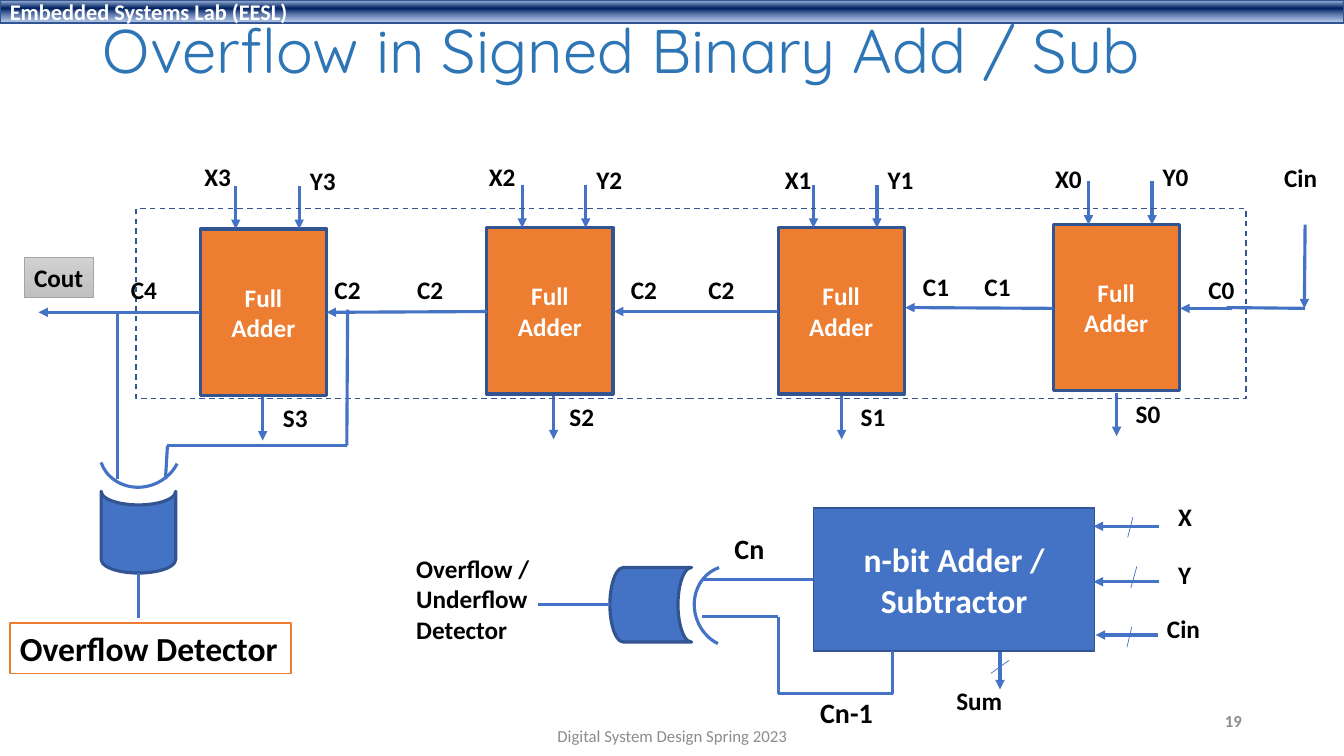
from lxml.etree import SubElement
from pptx import Presentation
from pptx.dml.color import RGBColor
from pptx.enum.dml import MSO_LINE
from pptx.enum.shapes import MSO_CONNECTOR, MSO_SHAPE
from pptx.enum.text import MSO_ANCHOR, MSO_AUTO_SIZE, PP_ALIGN
from pptx.oxml.ns import qn
from pptx.util import Cm, Pt

WHITE = RGBColor(0xFF, 0xFF, 0xFF)
BLACK = RGBColor(0x00, 0x00, 0x00)
GRAY = RGBColor(0x8C, 0x8C, 0x8C)
SILVER = RGBColor(0xA5, 0xA5, 0xA5)
BLUE = RGBColor(0x44, 0x72, 0xC4)
NAVY = RGBColor(0x32, 0x54, 0x91)
ORANGE = RGBColor(0xED, 0x7D, 0x31)
TITLE_BLUE = RGBColor(0x2E, 0x75, 0xB6)

HEADER_STOPS = [
    (2, RGBColor(0xAB, 0xC0, 0xE4), 100),
    (38, RGBColor(0x00, 0x20, 0x60), 100),
    (93, RGBColor(0x7E, 0x9E, 0xD6), 64),
]
COUT_STOPS = [
    (0, RGBColor(0xD2, 0xD2, 0xD2), 100),
    (50, RGBColor(0xC8, 0xC8, 0xC8), 100),
    (100, RGBColor(0xC0, 0xC0, 0xC0), 100),
]

# bit, left, top, sum arrow offset, X label position
ADDERS = [
    (0, 26.54, 5.66, 1.6, (26.34, 3.99)),
    (1, 19.61, 5.74, 1.6, (19.53, 4.01)),
    (2, 12.27, 5.74, 1.68, (12.07, 3.94)),
    (3, 5.05, 5.77, 1.57, (4.9, 3.94)),
]
ADDER_W, ADDER_H = 3.18, 4.19
INPUT_OFFSETS = (0.89, 2.49)
ARROW_LENGTH = 1.09

# text, left, top, width, size
LABELS = [
    ("Cin", 32.11, 3.96, 1.35, 18),
    ("C0", 30.2, 6.78, 1.17, 18),
    ("C1", 24.56, 6.71, 1.17, 18),
    ("C1", 23.01, 6.71, 1.17, 18),
    ("C2", 17.6, 6.78, 1.17, 18),
    ("C2", 15.65, 6.78, 1.17, 18),
    ("C2", 10.26, 6.78, 1.17, 18),
    ("C2", 8.18, 6.78, 1.17, 18),
    ("C4", 3.05, 6.78, 1.17, 18),
    ("Cn", 18.26, 13.26, 1.27, 20),
    ("Cn-1", 20.42, 17.4, 1.85, 20),
    ("Overflow /\nUnderflow\nDetector", 10.24, 13.82, 3.53, 18),
    ("Sum", 23.85, 17.15, 1.68, 18),
    ("X", 29.44, 12.52, 0.86, 18),
    ("Y", 29.44, 13.97, 0.84, 18),
    ("Cin", 29.16, 15.32, 1.35, 18),
]

ARROWS = [
    [(32.89, 5.66), (32.87, 7.77)],
    [(31.04, 7.77), (29.74, 7.77)],
    [(26.54, 7.77), (22.81, 7.75)],
    [(19.61, 7.85), (15.47, 7.85)],
    [(12.27, 7.85), (8.23, 7.87)],
    [(5.05, 7.87), (0.97, 7.87)],
    [(25.2, 16.43), (25.2, 17.37)],
    [(29.21, 13.26), (27.56, 13.26)],
    [(29.21, 14.66), (27.56, 14.66)],
    [(29.18, 16), (27.61, 16)],
]
WIRES = [
    [(32.89, 7.77), (30.91, 7.75)],
    [(2.97, 7.87), (2.97, 12.07)],
    [(8.76, 7.8), (8.74, 11.23), (4.22, 11.23), (4.17, 12.07)],
    [(3.48, 14.43), (3.48, 15.57)],
    [(20.5, 14.6), (17.68, 14.6)],
    [(22.5, 16.41), (22.5, 17.48), (19.61, 17.48), (19.61, 15.54), (17.68, 15.54)],
    [(15.37, 15.24), (13.56, 15.24)],
]
BUS_SLASHES = [
    [(28.55, 13.03), (28.42, 13.54)],
    [(28.65, 14.27), (28.5, 14.81)],
    [(28.52, 15.8), (28.4, 16.31)],
    [(25.43, 16.64), (24.97, 16.97)],
]
# gate body position and rotation, arc position and rotation
XOR_GATES = [
    ((2.46, 12.47), 270, (2.49, 10.36), 161.1),
    ((15.37, 14.3), 0, (17.42, 14.33), 251.1),
]


def write(sp, text, *, size=18, color=BLACK, bold=True, font="Calibri",
          align=PP_ALIGN.LEFT, anchor=MSO_ANCHOR.MIDDLE, wrap=True, spacing=None):
    tf = sp.text_frame
    tf.auto_size = MSO_AUTO_SIZE.NONE
    tf.word_wrap = wrap
    tf.vertical_anchor = anchor
    tf.text = text
    for p in tf.paragraphs:
        p.alignment = align
        p.line_spacing = spacing
        f = p.font
        f.name, f.size, f.bold = font, Pt(size), bold
        f.color.rgb = color


def add_text(text, x, y, w, h, **fmt):
    write(s.shapes.add_textbox(Cm(x), Cm(y), Cm(w), Cm(h)), text, **fmt)


def add_label(text, x, y, w, size=18):
    height = size * 0.043 * (text.count("\n") + 1) + 0.25
    add_text(text, x, y, w, height, size=size, anchor=MSO_ANCHOR.TOP, wrap=False)


def add_box(x, y, w, h, *, kind=MSO_SHAPE.RECTANGLE, fill=None, stops=None,
            line=NAVY, width=2.25, rotation=0):
    sp = s.shapes.add_shape(kind, Cm(x), Cm(y), Cm(w), Cm(h))
    sp.shadow.inherit = False
    sp.rotation = rotation
    if stops:
        set_gradient(sp, stops)
    elif fill is not None:
        sp.fill.solid()
        sp.fill.fore_color.rgb = fill
    else:
        sp.fill.background()
    sp.line.color.rgb = line
    sp.line.width = Pt(width)
    return sp


def set_gradient(sp, stops):
    sp.fill.gradient()
    sp.fill.gradient_angle = 270
    gs_list = sp.fill._fill._gradFill.find(qn("a:gsLst"))
    for gs in list(gs_list):
        gs_list.remove(gs)
    for position, color, opacity in stops:
        gs = SubElement(gs_list, qn("a:gs"), pos=str(position * 1000))
        clr = SubElement(gs, qn("a:srgbClr"), val=str(color))
        if opacity < 100:
            SubElement(clr, qn("a:alpha"), val=str(opacity * 1000))


def add_wire(points, width=2.25, arrow=False):
    for (x1, y1), (x2, y2) in zip(points, points[1:]):
        c = s.shapes.add_connector(MSO_CONNECTOR.STRAIGHT, Cm(x1), Cm(y1), Cm(x2), Cm(y2))
        c.line.color.rgb = BLUE
        c.line.width = Pt(width)
        if arrow:
            SubElement(c.line._get_or_add_ln(), qn("a:tailEnd"), type="triangle")
        SubElement(c._element.spPr, qn("a:effectLst"))


prs = Presentation()
prs.slide_width, prs.slide_height = Cm(33.87), Cm(19.05)
s = prs.slides.add_slide(prs.slide_layouts[5])

header = add_box(0, 0, 33.87, 0.58, stops=HEADER_STOPS, width=1)
write(header, "Embedded Systems Lab (EESL)", size=16, color=WHITE)

title = s.shapes.title
title.left, title.top, title.width, title.height = Cm(2.34), Cm(0.38), Cm(29.21), Cm(1.96)
write(title, "Overflow in Signed Binary Add / Sub", size=44, color=TITLE_BLUE,
      bold=False, font="Quicksand", spacing=0.9)

for bit, left, top, sum_offset, x_label in ADDERS:
    adder = add_box(left, top, ADDER_W, ADDER_H, fill=ORANGE)
    write(adder, "Full\nAdder", color=WHITE, align=PP_ALIGN.CENTER)
    for offset in INPUT_OFFSETS:
        add_wire([(left + offset, top - ARROW_LENGTH), (left + offset, top)], arrow=True)
    sum_x, sum_y = left + sum_offset, top + ADDER_H + 0.05
    add_wire([(sum_x, sum_y), (sum_x, sum_y + ARROW_LENGTH)], arrow=True)
    add_label(f"X{bit}", *x_label, 1.19)
    add_label(f"Y{bit}", left + 2.51, top - 1.73, 1.17)
    add_label(f"S{bit}", left + 1.83, top + 4.24, 1.14)

outline = add_box(3.43, 5.26, 27.97, 4.78, width=1)
outline.line.dash_style = MSO_LINE.DASH

cout = add_box(0.61, 6.48, 1.75, 1.02, stops=COUT_STOPS, line=SILVER, width=0.5)
write(cout, "Cout", wrap=False)

detector = add_box(0.25, 15.7, 7.09, 1.27, fill=WHITE, line=ORANGE, width=1)
write(detector, "Overflow Detector", size=24, wrap=False)

block = add_box(20.5, 12.8, 7.09, 3.61, fill=BLUE, width=1)
write(block, "n-bit Adder / Subtractor", size=24, color=WHITE, align=PP_ALIGN.CENTER)

for body, body_turn, arc_at, arc_turn in XOR_GATES:
    add_box(*body, 2.06, 1.88, kind=MSO_SHAPE.FLOWCHART_STORED_DATA, fill=BLUE,
            rotation=body_turn)
    arc = add_box(*arc_at, 2.08, 1.91, kind=MSO_SHAPE.ARC, line=BLUE, rotation=arc_turn)
    arc.adjustments[0], arc.adjustments[1] = 132.22, 0

for points in ARROWS:
    add_wire(points, arrow=True)
for points in WIRES:
    add_wire(points)
for points in BUS_SLASHES:
    add_wire(points, width=0.5)
for label in LABELS:
    add_label(*label)

add_text("19", 23.93, 17.65, 7.62, 1.02, size=12, color=GRAY, align=PP_ALIGN.RIGHT)
add_text("Digital System Design Spring 2023", 11.23, 18.03, 11.43, 1.02, size=12,
         color=GRAY, bold=False, align=PP_ALIGN.CENTER)

prs.save("out.pptx")
